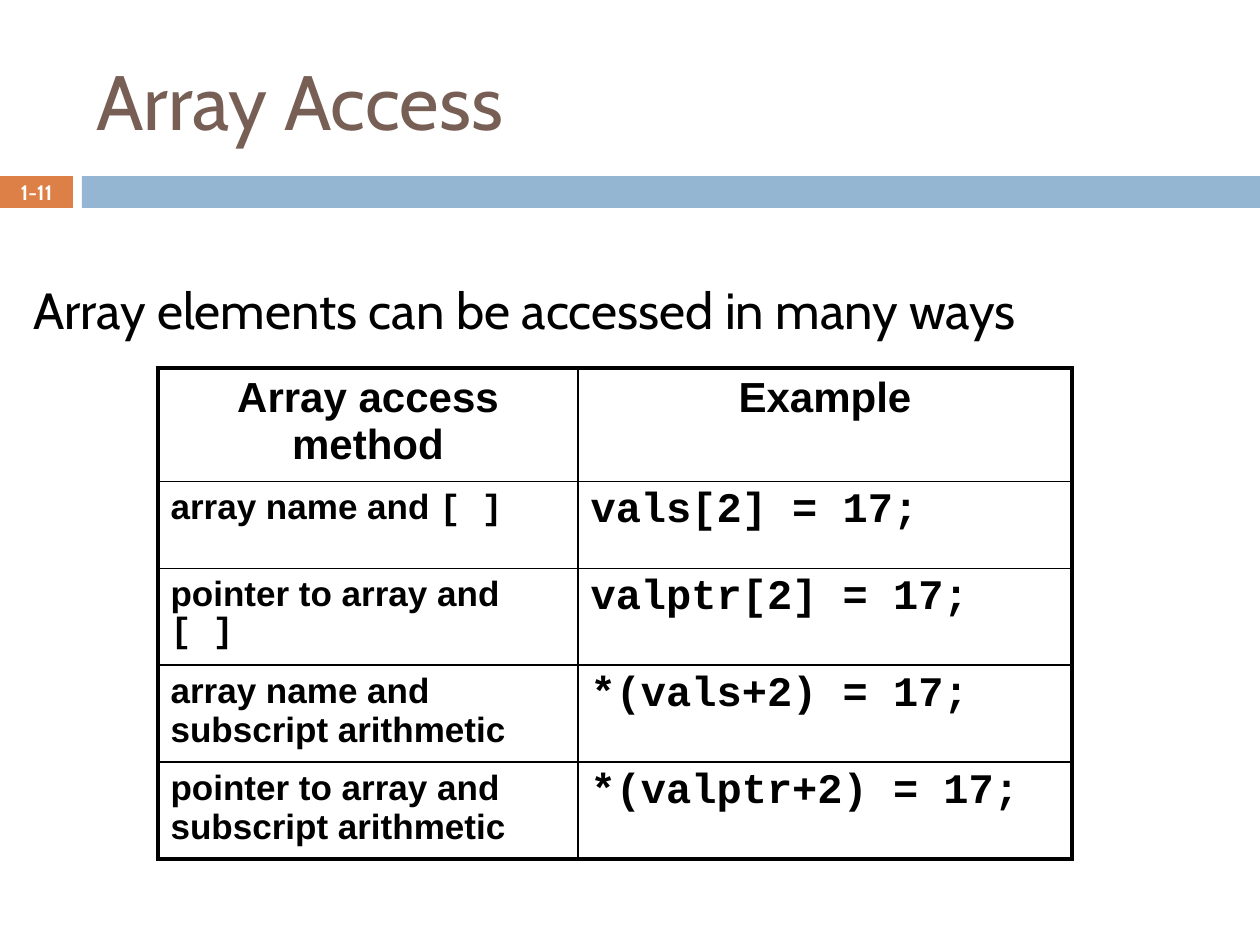
from lxml.etree import SubElement
from pptx import Presentation
from pptx.dml.color import RGBColor
from pptx.enum.shapes import MSO_SHAPE
from pptx.enum.text import MSO_ANCHOR as ANCHOR, PP_ALIGN as ALIGN
from pptx.oxml.ns import qn
from pptx.util import Emu, Pt

PX = 914400 / 126
BLACK = RGBColor(0x00, 0x00, 0x00)
WHITE = RGBColor(0xFF, 0xFF, 0xFF)
BROWN = RGBColor(0x77, 0x5F, 0x55)
ORANGE = RGBColor(0xDD, 0x80, 0x47)
BLUE = RGBColor(0x94, 0xB6, 0xD2)

HEADING, CODE = "Cabin", "Courier New"
LABEL = "Arial"
THIN, THICK = 1, 2.25

COLUMNS = [420, 494]
ROWS = [113, 87, 77, 97, 97]
HEADERS = ["Array access method", "Example"]
# Label, code part of the label, example
METHODS = [
    ("array name and ", "[ ]", "vals[2] = 17;"),
    ("pointer to array and ", "[ ]", "valptr[2] = 17;"),
    ("array name and subscript arithmetic", "", "*(vals+2) = 17;"),
    ("pointer to array and subscript arithmetic", "", "*(valptr+2) = 17;"),
]


def px(n):
    return Emu(round(n * PX))


def add_run(p, text, size, font, color=BLACK, bold=False):
    r = p.add_run()
    r.text = text
    r.font.size = Pt(size)
    r.font.name = font
    r.font.bold = bold
    r.font.color.rgb = color


def add_bar(slide, x, y, w, h, color):
    sp = slide.shapes.add_shape(MSO_SHAPE.RECTANGLE, px(x), px(y), px(w), px(h))
    sp.shadow.inherit = False
    sp.fill.solid()
    sp.fill.fore_color.rgb = color
    sp.line.fill.background()


def add_text(slide, x, y, w, h, anchor=ANCHOR.TOP):
    tf = slide.shapes.add_textbox(px(x), px(y), px(w), px(h)).text_frame
    tf.word_wrap = True
    tf.vertical_anchor = anchor
    return tf


def style_cell(cell, borders):
    tc_pr = cell._tc.get_or_add_tcPr()
    for side, width in zip("LRTB", borders):
        ln = SubElement(tc_pr, qn(f"a:ln{side}"), w=str(Pt(width)))
        fill = SubElement(ln, qn("a:solidFill"))
        SubElement(fill, qn("a:srgbClr"), val=str(BLACK))
    cell.fill.background()
    cell.margin_left = cell.margin_right = Pt(7.2)
    cell.margin_top = cell.margin_bottom = Pt(3.6)


def add_methods_table(slide, x, y):
    table = slide.shapes.add_table(len(ROWS), len(COLUMNS), px(x), px(y),
                                   px(sum(COLUMNS)), px(sum(ROWS))).table
    table.first_row = table.horz_banding = False
    for column, width in zip(table.columns, COLUMNS):
        column.width = px(width)
    for row, height in zip(table.rows, ROWS):
        row.height = px(height)

    # Thick frame, thin inner lines
    last_row, last_col = len(ROWS) - 1, len(COLUMNS) - 1
    for i in range(len(ROWS)):
        for j in range(len(COLUMNS)):
            outer = (j == 0, j == last_col, i == 0, i == last_row)
            style_cell(table.cell(i, j), [THICK if o else THIN for o in outer])

    # Header row
    for j, header in enumerate(HEADERS):
        p = table.cell(0, j).text_frame.paragraphs[0]
        p.alignment = ALIGN.CENTER
        add_run(p, header, 24, LABEL, bold=True)

    # Method rows
    for i, (label, brackets, example) in enumerate(METHODS, 1):
        p = table.cell(i, 0).text_frame.paragraphs[0]
        add_run(p, label, 20, LABEL, bold=True)
        if brackets:
            add_run(p, brackets, 20, CODE, bold=True)
        p = table.cell(i, 1).text_frame.paragraphs[0]
        add_run(p, example, 24, CODE, bold=True)


def main():
    prs = Presentation()
    prs.slide_width, prs.slide_height = px(1260), px(945)
    slide = prs.slides.add_slide(prs.slide_layouts[6])

    # Bars under the title
    add_bar(slide, 0, 176, 73, 32, ORANGE)
    add_bar(slide, 82, 176, 1178, 32, BLUE)

    # Title
    tf = add_text(slide, 84, 32, 1124, 136, ANCHOR.MIDDLE)
    add_run(tf.paragraphs[0], "Array Access", 44, HEADING, BROWN)

    # Slide number
    tf = add_text(slide, 0, 175, 73, 34, ANCHOR.MIDDLE)
    tf.margin_left = tf.margin_right = tf.margin_top = tf.margin_bottom = 0
    p = tf.paragraphs[0]
    p.alignment = ALIGN.CENTER
    add_run(p, "1-11", 11.9, HEADING, WHITE, bold=True)

    # Body text
    tf = add_text(slide, 21, 273, 1197, 567)
    p = tf.paragraphs[0]
    p.space_before = Pt(7)
    add_run(p, "Array elements can be accessed in many ways", 29, HEADING)

    add_methods_table(slide, 158, 368)
    prs.save("out.pptx")


if __name__ == "__main__":
    main()
